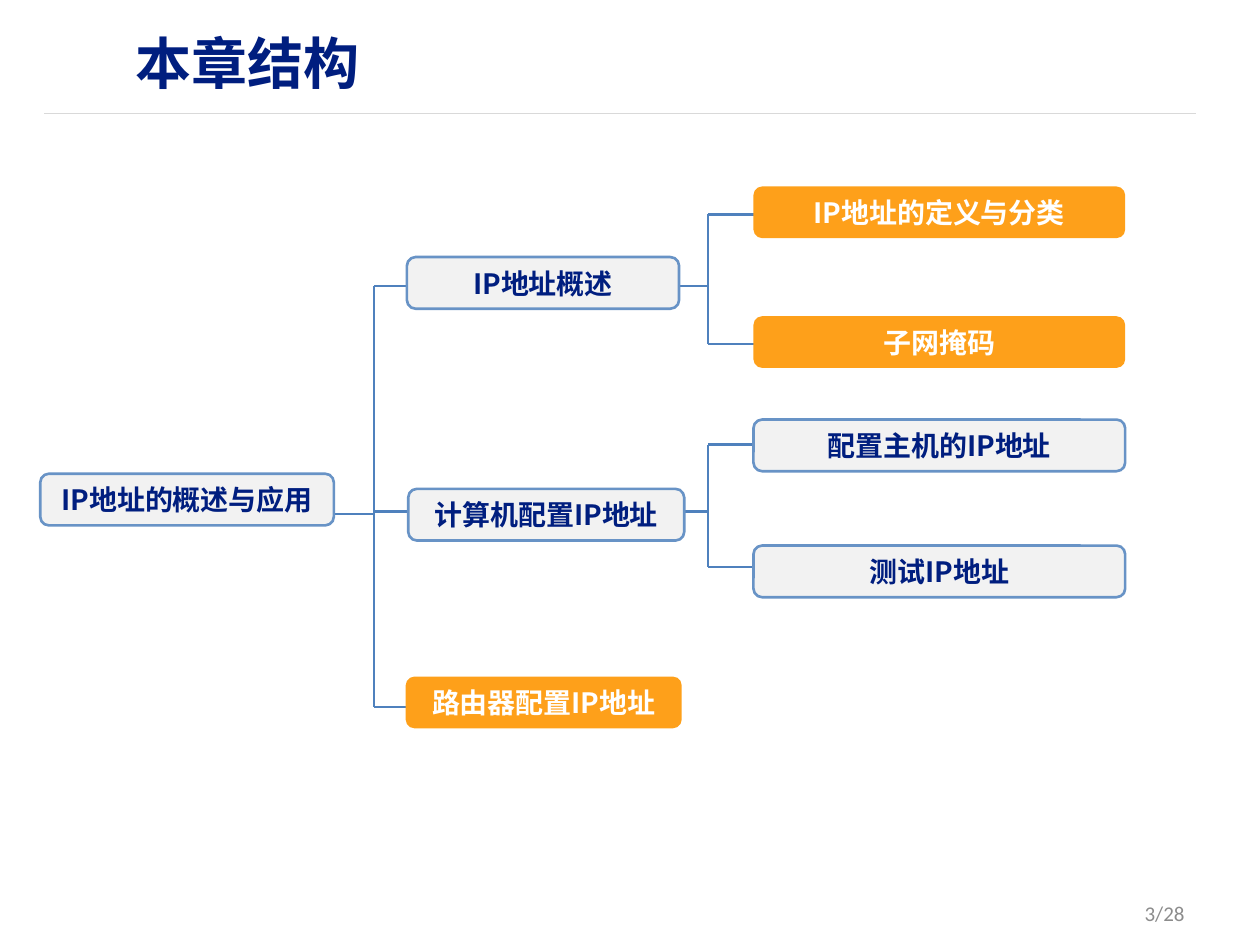
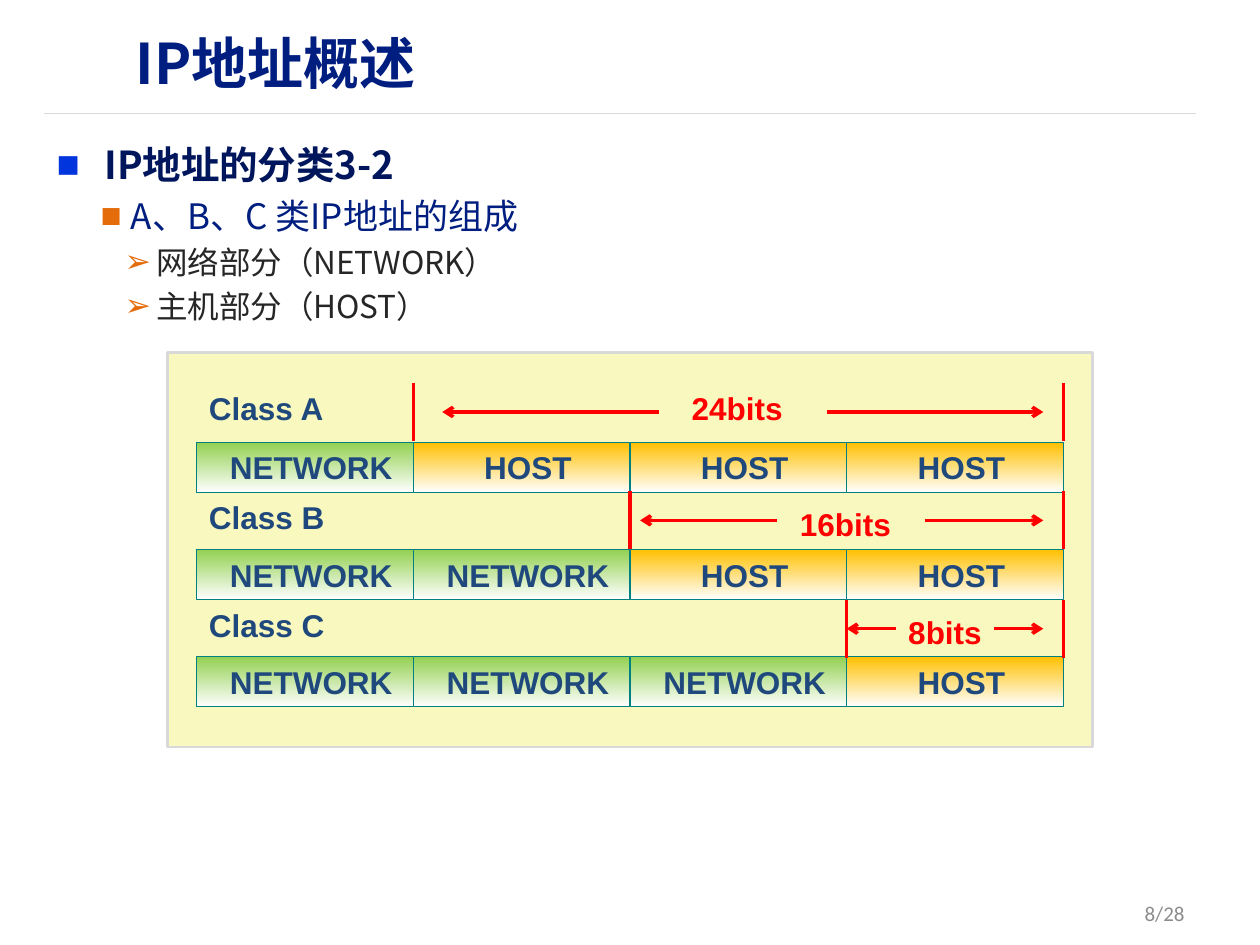
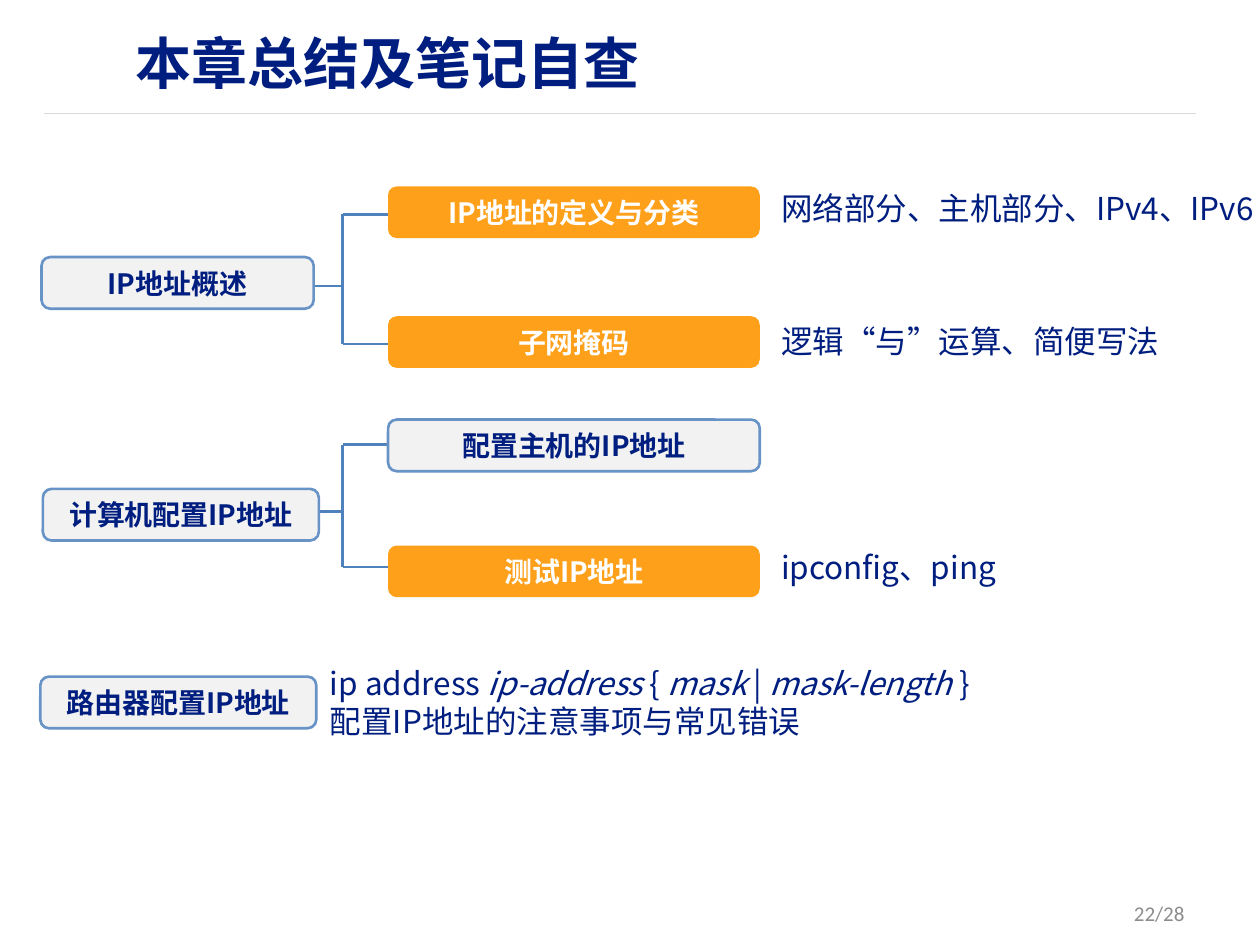
from lxml import etree
from pptx import Presentation
from pptx import util as u
from pptx.dml import color
from pptx.enum import shapes, text
from pptx.oxml import ns

COLORS = {
    "navy": "001E7F", "heading": "00165C", "body": "262626", "white": "FFFFFF",
    "rule": "D9D9D9", "page": "8C8C8C", "link": "4F81BD", "edge": "6893C6",
    "pale": "F2F2F2", "accent": "FEA01A", "square": "0034DC", "orange": "E46C0A",
    "panel": "F9F8BE", "network": "92D050", "host": "FFC000", "teal": "008080",
    "bits": "FF0000", "label": "1F497D",
}
CJK = "Noto Sans CJK SC"
LATIN = "Arial"
TOPIC_HEIGHT = 0.41
PAGES = 28


def rgb(name):
    """Return the named colour."""
    return color.RGBColor.from_string(COLORS[name])


def sub(parent, tag, **attributes):
    """Append a DrawingML element."""
    return etree.SubElement(parent, ns.qn(f"a:{tag}"), attributes)


def add_bullet(paragraph, symbol, tint, left, hanging):
    """Give a paragraph a coloured bullet and a hanging indent."""
    properties = paragraph._p.get_or_add_pPr()
    properties.set("marL", str(u.Inches(left)))
    properties.set("indent", str(-u.Inches(hanging)))
    sub(sub(properties, "buClr"), "srgbClr", val=COLORS[tint])
    sub(properties, "buFont", typeface=LATIN)
    sub(properties, "buChar", char=symbol)


def write(frame, content, size=18, tint="navy", font=CJK, bold=False, align="LEFT",
          bullet=None, indent=0, before=0, new=False):
    """Write one paragraph, given as a string or as (text, italic) runs."""
    paragraph = frame.add_paragraph() if new else frame.paragraphs[0]
    if bullet:
        add_bullet(paragraph, *bullet)
    elif indent:
        paragraph._p.get_or_add_pPr().set("marL", str(u.Inches(indent)))
    paragraph.alignment = text.PP_ALIGN[align]
    if before:
        paragraph.space_before = u.Pt(before)
    for words, italic in [(content, False)] if isinstance(content, str) else content:
        run = paragraph.add_run()
        run.text = words
        run.font.size, run.font.bold, run.font.italic = u.Pt(size), bold, italic
        run.font.color.rgb = rgb(tint)
        run.font.name = font
        sub(run._r.get_or_add_rPr(), "ea", typeface=font)


def add_box(slide, left, top, width, height, content=None, anchor="TOP", **style):
    """Add a wrapping text box and return its text frame."""
    frame = slide.shapes.add_textbox(*map(u.Inches, (left, top, width, height))).text_frame
    frame.word_wrap = True
    frame.vertical_anchor = text.MSO_ANCHOR[anchor]
    if content:
        write(frame, content, **style)
    return frame


def add_block(slide, kind, left, top, width, height, fill, edge=None, weight=1.5):
    """Add a filled shape with an optional outline."""
    block = slide.shapes.add_shape(shapes.MSO_SHAPE[kind],
                                   *map(u.Inches, (left, top, width, height)))
    block.shadow.inherit = False
    block.fill.solid()
    block.fill.fore_color.rgb = rgb(fill)
    if edge:
        block.line.color.rgb = rgb(edge)
        block.line.width = u.Pt(weight)
    else:
        block.line.fill.background()
    return block


def add_line(slide, x1, y1, x2, y2, tint="link", weight=1.5, arrow=False):
    """Add a straight line, with an arrowhead at its end if asked."""
    line = slide.shapes.add_connector(shapes.MSO_CONNECTOR.STRAIGHT,
                                      *map(u.Inches, (x1, y1, x2, y2)))
    line.line.color.rgb = rgb(tint)
    line.line.width = u.Pt(weight)
    if arrow:
        sub(line.line._get_or_add_ln(), "tailEnd", type="arrow")
    sub(line._element.spPr, "effectLst")


def new_slide(deck, title, page):
    """Add a slide with its title, rule and page number."""
    slide = deck.slides.add_slide(deck.slide_layouts[6])
    add_line(slide, 0.35, 0.9, 9.49, 0.9, "rule", 0.75)
    add_box(slide, 0.98, 0, 8.66, 0.99, title, "MIDDLE", size=32, bold=True)
    add_box(slide, 7.17, 7.05, 2.33, 0.4, f"{page}/{PAGES}", "MIDDLE",
            size=12, tint="page", font="Calibri", align="RIGHT")
    return slide


def add_topic(slide, left, top, width, label, marked):
    """Add a rounded topic box, orange when marked."""
    topic = add_block(slide, "ROUNDED_RECTANGLE", left, top, width, TOPIC_HEIGHT,
                      "accent" if marked else "pale", None if marked else "edge")
    topic.text_frame.word_wrap = True
    topic.text_frame.vertical_anchor = text.MSO_ANCHOR.MIDDLE
    write(topic.text_frame, label, size=16, tint="white" if marked else "navy",
          bold=True, align="CENTER")


def add_branches(slide, left, marked):
    """Draw the chapter's topics and subtopics from the given left edge."""
    trunk, leaf = left + 2.39, left + 2.75
    branches = [
        ("IP地址概述", 0, 2.04, 2.16, 2.27,
         [("IP地址的定义与分类", 1.48, 1.7), ("子网掩码", 2.51, 2.73)]),
        ("计算机配置IP地址", 0.01, 3.88, 2.19, 4.06,
         [("配置主机的IP地址", 3.33, 3.53), ("测试IP地址", 4.33, 4.5)]),
        ("路由器配置IP地址", -0.01, 5.37, 2.19, 5.61, []),
    ]
    for label, shift, top, width, middle, subtopics in branches:
        if subtopics:
            add_line(slide, left + 1, middle, trunk, middle)
            add_line(slide, trunk, subtopics[0][2], trunk, subtopics[-1][2])
        for name, name_top, link in subtopics:
            add_line(slide, trunk, link, leaf + 0.04, link)
            add_topic(slide, leaf, name_top, 2.95, name, name in marked)
        add_topic(slide, left + shift, top, width, label, label in marked)


def add_root(slide, left, trunk):
    """Draw the chapter's root topic and its links to the branches."""
    for middle in (2.27, 4.06, 5.61):
        add_line(slide, trunk, middle, trunk + 0.4, middle)
    add_line(slide, trunk, 2.27, trunk, 5.61)
    add_line(slide, left + 2.18, 4.08, trunk, 4.08)
    add_topic(slide, left, 3.76, 2.33, "IP地址的概述与应用", False)


def add_octet(slide, left, top, width, part):
    """Draw one octet of an address with its fading fill."""
    octet = add_block(slide, "RECTANGLE", left, top, width, 0.4, part, "teal", 0.75)
    octet.fill.gradient()
    octet.fill.gradient_angle = 270
    for stop, tint, position in zip(octet.fill.gradient_stops, (part, "white"), (0, 1)):
        stop.color.rgb = rgb(tint)
        stop.position = position
    octet.text_frame.vertical_anchor = text.MSO_ANCHOR.MIDDLE
    write(octet.text_frame, part.upper(), tint="label", font=LATIN, bold=True,
          align="CENTER", indent=0.1)


def add_class_panel(slide, left, top, width, height):
    """Draw the octets of each address class with the host length above."""
    add_block(slide, "RECTANGLE", left, top, width, height, "panel", "rule")
    start, octet, pitch = left + 0.23, 1.72, 0.86
    end = start + 4 * octet
    classes = [
        ("A", "24bits", 0, (5.23, 3.51), 6.56),
        ("B", "16bits", 0.06, (6.17, 5.08), 7.34),
        ("C", "8bits", 0.06, (7.11, 6.72), 7.89),
    ]
    for row, (letter, bits, drop, leftward, rightward) in enumerate(classes):
        head = top + 0.24 + row * pitch
        for column in range(4):
            add_octet(slide, start + column * octet, top + 0.71 + row * 0.85, octet,
                      "network" if column <= row else "host")
        for tick in (start + (row + 1) * octet, end):
            add_line(slide, tick, head, tick, head + 0.46, "bits", 2)
        for tail, tip in (leftward, (rightward, 8.28)):
            add_line(slide, left + tail - 1.33, head + 0.23, left + tip - 1.33,
                     head + 0.23, "bits", 2, arrow=True)
        add_box(slide, start, head, 1.48, 0.4, f"Class {letter}",
                tint="label", font=LATIN, bold=True)
        add_box(slide, start + 3.83 + row * pitch, head + drop, 1.02, 0.4, bits,
                tint="bits", font=LATIN, bold=True)


def add_outline(slide, left, top, width, height):
    """Write the bulleted outline of the address classes."""
    frame = add_box(slide, left, top, width, height)
    part = dict(size=18, tint="body", bullet=("➢", "orange", 0.79, 0.25), before=3.6, new=True)
    write(frame, "IP地址的分类3-2", size=22, tint="heading", bold=True,
          bullet=("■", "square", 0.38, 0.38))
    write(frame, "A、B、C 类IP地址的组成", size=20,
          bullet=("■", "orange", 0.59, 0.24), before=4, new=True)
    write(frame, "网络部分（NETWORK）", **part)
    write(frame, "主机部分（HOST）", **part)


def add_review_notes(slide, left):
    """Write the review notes beside the topics."""
    for top, note in ((1.45, "网络部分、主机部分、IPv4、IPv6"),
                      (2.51, "逻辑“与”运算、简便写法"),
                      (4.3, "ipconfig、ping")):
        add_box(slide, left, top, 3.98, 0.4, note)
    command = [("ip address ", False), ("ip-address", True), (" { ", False), ("mask", True),
               (" | ", False), ("mask-length", True), (" }", False)]
    frame = add_box(slide, left - 3.58, 5.22, 5.76, 0.71, command)
    write(frame, "配置IP地址的注意事项与常见错误", new=True)


def main():
    """Build the three slides and save them."""
    deck = Presentation()
    deck.slide_width, deck.slide_height = u.Inches(10), u.Inches(7.5)

    structure = new_slide(deck, "本章结构", 3)
    add_root(structure, 0.32, 2.97)
    add_branches(structure, 3.23, {"IP地址的定义与分类", "子网掩码", "路由器配置IP地址"})

    overview = new_slide(deck, "IP地址概述", 8)
    add_outline(overview, 0.35, 1.07, 9.29, 5.89)
    add_class_panel(overview, 1.33, 2.8, 7.34, 3.13)

    summary = new_slide(deck, "本章总结及笔记自查", 22)
    add_branches(summary, 0.33, {"IP地址的定义与分类", "子网掩码", "测试IP地址"})
    add_review_notes(summary, 6.1)

    deck.save("out.pptx")


if __name__ == "__main__":
    main()
